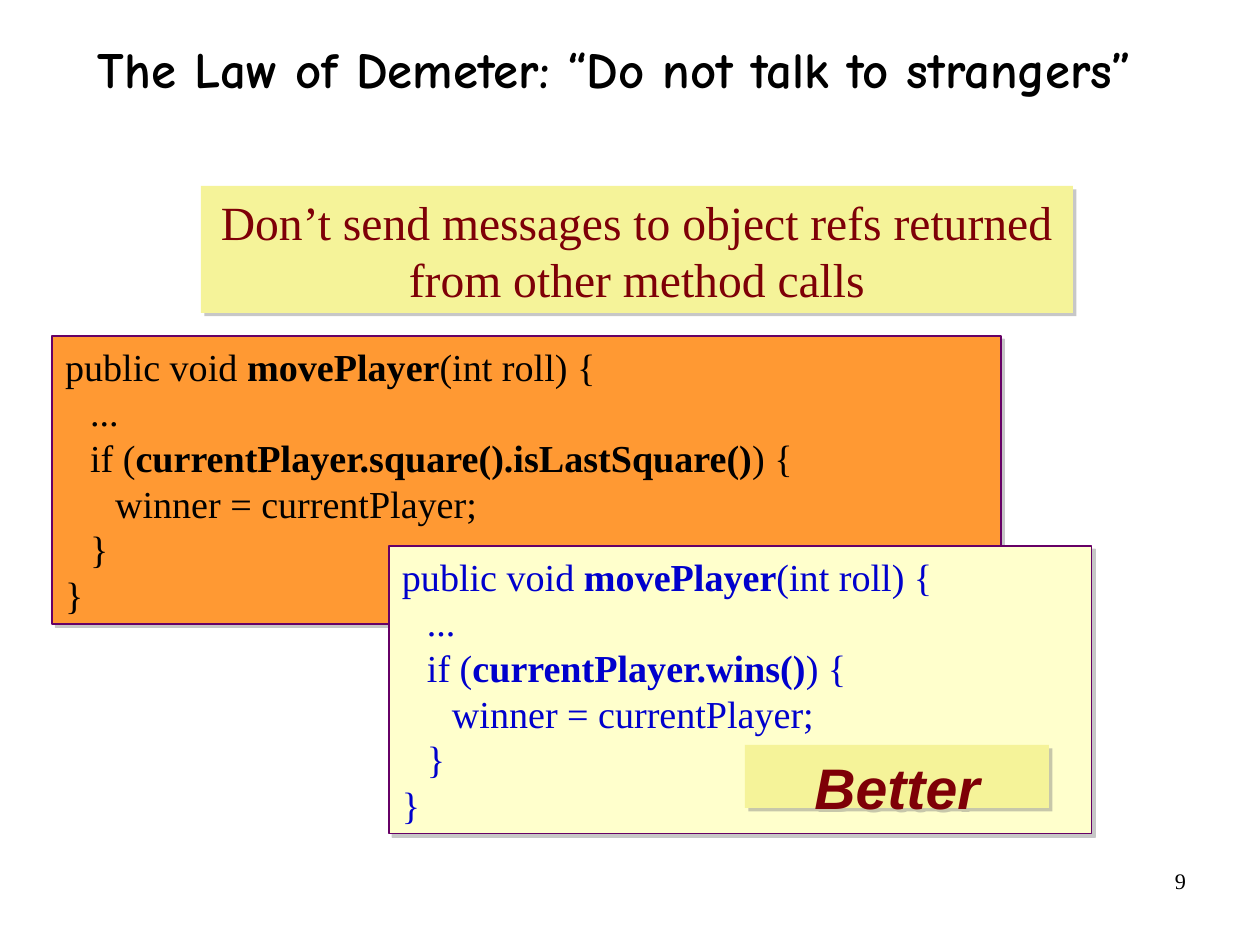
"""Build the Law of Demeter slide comparing two versions of movePlayer."""
from dataclasses import dataclass
from typing import Optional

from lxml.etree import SubElement
from pptx import Presentation
from pptx.dml.color import RGBColor
from pptx.enum.shapes import MSO_SHAPE as Preset
from pptx.enum.text import MSO_ANCHOR as Anchor, PP_ALIGN as Align
from pptx.oxml.ns import qn
from pptx.util import Pt

EMU_PER_PX = 8000


@dataclass(frozen=True)
class Theme:
    black: str = "000000"
    maroon: str = "7E0007"
    blue: str = "0000CC"
    straw: str = "F5F399"
    orange: str = "FF9933"
    cream: str = "FFFFCC"
    purple: str = "660066"
    shadow: str = "808080"
    serif: str = "Times New Roman"
    sans: str = "Arial"
    hand: str = "Comic Neue"
    number_size: int = 14
    code_size: int = 24
    banner_size: int = 30
    title_size: int = 32
    stamp_size: int = 36


THEME = Theme()


@dataclass(frozen=True)
class Style:
    face: str
    size: int
    color: str
    align: Align = Align.CENTER
    bold: bool = False
    italic: bool = False
    spacing: Optional[float] = None
    tab_px: int = 0


@dataclass(frozen=True)
class Box:
    left: int
    top: int
    width: int
    height: int
    lines: tuple[str, ...]
    style: Style
    margins: tuple[int, int] = (13, 7)
    fill: Optional[str] = None
    outline: Optional[str] = None


def px(value: int) -> int:
    return value * EMU_PER_PX


def rgb(color: str) -> RGBColor:
    return RGBColor.from_string(color)


def panel_style(face: str, size: int, color: str, **options) -> Style:
    return Style(face, size, color, spacing=Pt(1.2 * size), **options)


def move_player(condition: str) -> tuple[str, ...]:
    return (
        "public void **movePlayer**(int roll) {",
        "\t...",
        f"\tif (**{condition}**) {{",
        "\t\twinner = currentPlayer;",
        "\t}",
        "}",
    )


def code_style(color: str) -> Style:
    return panel_style(THEME.serif, THEME.code_size, color, align=Align.LEFT, tab_px=25)


BOXES = (
    Box(903, 861, 294, 65, ("9",),
        Style(THEME.serif, THEME.number_size, THEME.black, Align.RIGHT), (11, 6)),
    Box(78, 46, 1074, 157, ("The Law of Demeter: “Do not talk to strangers”",),
        Style(THEME.hand, THEME.title_size, THEME.black, bold=True, spacing=0.88), (0, 0)),
    Box(201, 186, 872, 127,
        ("Don’t send messages to object refs returned from other method calls",),
        panel_style(THEME.serif, THEME.banner_size, THEME.maroon), fill=THEME.straw),
    Box(52, 336, 949, 288, move_player("currentPlayer.square().isLastSquare()"),
        code_style(THEME.black), fill=THEME.orange, outline=THEME.purple),
    Box(389, 546, 703, 288, move_player("currentPlayer.wins()"),
        code_style(THEME.blue), fill=THEME.cream, outline=THEME.purple),
    Box(745, 745, 304, 63, ("Better",),
        panel_style(THEME.sans, THEME.stamp_size, THEME.maroon, bold=True, italic=True),
        fill=THEME.straw),
)


def add_tabs(paragraph, step: int) -> None:
    tabs = SubElement(paragraph._p.get_or_add_pPr(), qn("a:tabLst"))
    for stop in (1, 2):
        SubElement(tabs, qn("a:tab"), pos=str(px(stop * step)), algn="l")


def add_shadow(shape) -> None:
    shape.shadow.inherit = False
    effects = shape._element.spPr.find(qn("a:effectLst"))
    shadow = SubElement(effects, qn("a:outerShdw"), blurRad="0", dist=str(Pt(3)),
                        dir="2700000", algn="ctr", rotWithShape="0")
    color = SubElement(shadow, qn("a:srgbClr"), val=THEME.shadow)
    SubElement(color, qn("a:alpha"), val="43000")


def write_line(paragraph, line: str, style: Style) -> None:
    paragraph.alignment = style.align
    if style.spacing is not None:
        paragraph.line_spacing = style.spacing
    if style.tab_px:
        add_tabs(paragraph, style.tab_px)
    font = paragraph.font
    font.name, font.size = style.face, Pt(style.size)
    font.bold, font.italic = style.bold, style.italic
    font.color.rgb = rgb(style.color)
    for index, part in enumerate(line.split("**")):
        run = paragraph.add_run()
        run.text = part
        if index % 2:
            run.font.bold = True


def add_box(slide, box: Box) -> None:
    bounds = [px(value) for value in (box.left, box.top, box.width, box.height)]
    if box.fill:
        shape = slide.shapes.add_shape(Preset.RECTANGLE, *bounds)
        shape.fill.solid()
        shape.fill.fore_color.rgb = rgb(box.fill)
        add_shadow(shape)
        if box.outline:
            shape.line.color.rgb = rgb(box.outline)
            shape.line.width = Pt(0.75)
        else:
            shape.line.fill.background()
    else:
        shape = slide.shapes.add_textbox(*bounds)
    frame = shape.text_frame
    frame.word_wrap = True
    frame.vertical_anchor = Anchor.TOP
    side, end = map(px, box.margins)
    frame.margin_left = frame.margin_right = side
    frame.margin_top = frame.margin_bottom = end
    for index, line in enumerate(box.lines):
        paragraph = frame.add_paragraph() if index else frame.paragraphs[0]
        write_line(paragraph, line, box.style)


def main() -> None:
    presentation = Presentation()
    presentation.slide_width, presentation.slide_height = px(1260), px(945)
    slide = presentation.slides.add_slide(presentation.slide_layouts[6])
    for box in BOXES:
        add_box(slide, box)
    presentation.save("out.pptx")


if __name__ == "__main__":
    main()
